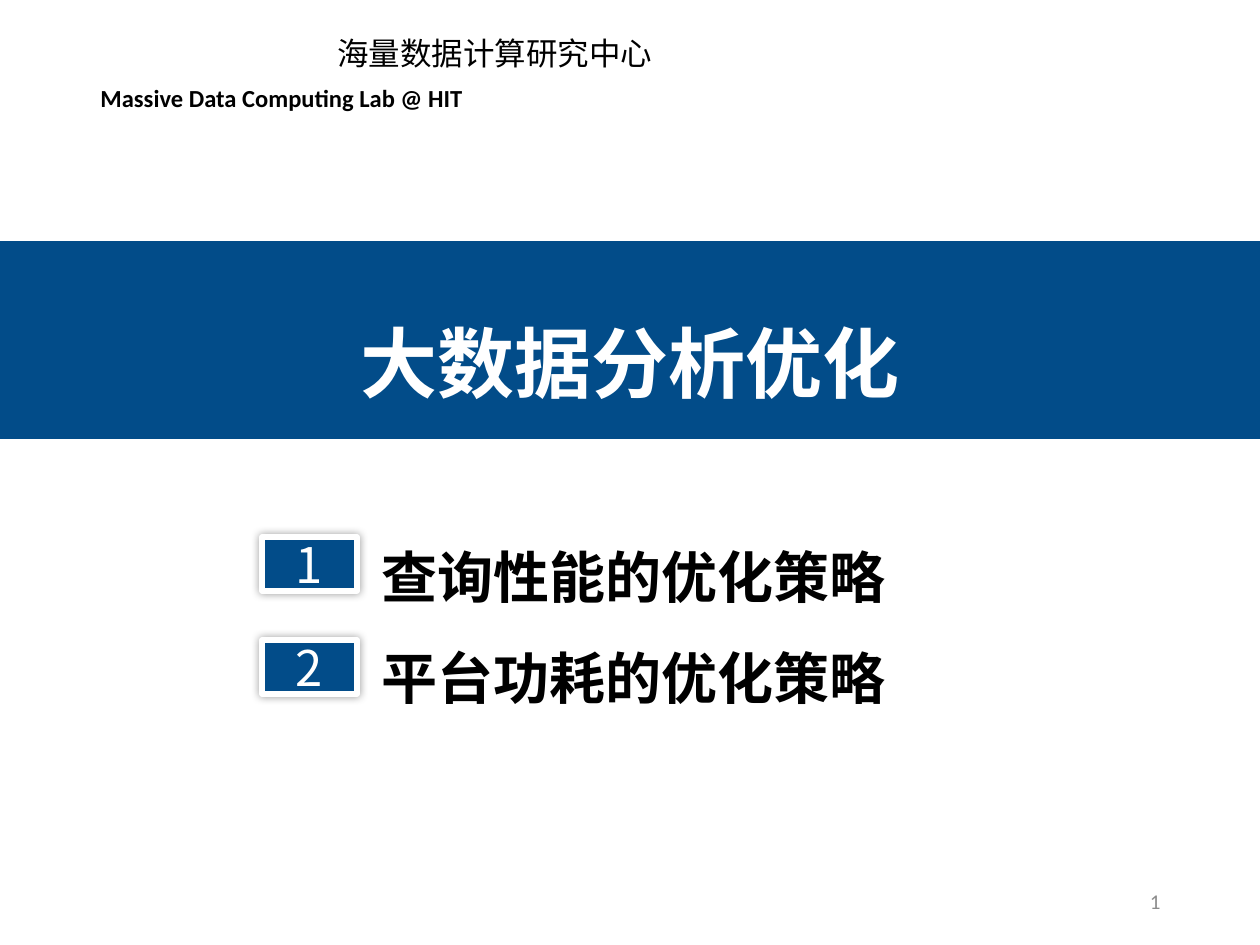
from dataclasses import dataclass

from lxml.etree import SubElement
from pptx import Presentation
from pptx.dml.color import RGBColor
from pptx.enum.shapes import MSO_SHAPE as Shape
from pptx.enum.text import MSO_ANCHOR as Anchor, MSO_AUTO_SIZE as AutoSize, PP_ALIGN as Align
from pptx.oxml.ns import qn
from pptx.util import Pt

PX = 914400 / 126  # EMU in one px


@dataclass(frozen=True)
class Theme:
    blue: str = "024C89"
    white: str = "FFFFFF"
    black: str = "000000"
    gray: str = "8C8C8C"
    latin: str = "Calibri"
    heading: str = "Noto Sans CJK TC"
    label: str = "Noto Sans CJK JP"
    title_size: int = 44
    topic_size: int = 32
    badge_size: int = 28
    center_size: int = 18
    lab_size: int = 14
    number_size: int = 12


THEME = Theme()


def emu(*lengths):
    return [round(length * PX) for length in lengths]


def style(para, face, size, color, bold=False, align=Align.LEFT, spacing=1.0):
    para.alignment = align
    para.line_spacing = spacing
    font = para.font
    font.size, font.bold, font.name = Pt(size), bold, face
    font.color.rgb = RGBColor.from_string(color)
    # East Asian characters take their own typeface entry
    latin = font._element.find(qn("a:latin"))
    east_asian = latin.makeelement(qn("a:ea"), {"typeface": face})
    latin.addnext(east_asian)


def write(frame, lines, *look, anchor=Anchor.TOP, **options):
    frame.word_wrap = True
    frame.auto_size = AutoSize.NONE
    frame.vertical_anchor = anchor
    for index, line in enumerate(lines):
        para = frame.add_paragraph() if index else frame.paragraphs[0]
        para.text = line
        style(para, *look, **options)


def add_text(page, place, lines, *look, **options):
    box = page.shapes.add_textbox(*emu(*place))
    write(box.text_frame, lines, *look, **options)
    return box


def add_block(page, place, line_color, line_width):
    block = page.shapes.add_shape(Shape.RECTANGLE, *emu(*place))
    block.shadow.inherit = False
    block.fill.solid()
    block.fill.fore_color.rgb = RGBColor.from_string(THEME.blue)
    block.line.color.rgb = RGBColor.from_string(line_color)
    block.line.width = Pt(line_width)
    return block


def add_badge(page, place, number):
    badge = add_block(page, place, THEME.white, 3)
    effects = badge._element.spPr.find(qn("a:effectLst"))
    shadow = SubElement(effects, qn("a:outerShdw"), blurRad=str(Pt(5)),
                        dist="0", dir="0", algn="ctr", rotWithShape="0")
    color = SubElement(shadow, qn("a:srgbClr"), val=THEME.black)
    SubElement(color, qn("a:alpha"), val="40000")
    write(badge.text_frame, [str(number)], THEME.heading, THEME.badge_size,
          THEME.white, align=Align.CENTER, anchor=Anchor.MIDDLE)


def add_title(page, place, text):
    title = page.shapes.title
    title.left, title.top, title.width, title.height = emu(*place)
    write(title.text_frame, [text], THEME.heading, THEME.title_size,
          THEME.white, bold=True, align=Align.CENTER, spacing=1.4)
    return title


def add_slide_number(page, place):
    box = add_text(page, place, [""], THEME.latin, THEME.number_size,
                   THEME.gray, align=Align.RIGHT, anchor=Anchor.MIDDLE)
    field = SubElement(box.text_frame.paragraphs[0]._p, qn("a:fld"),
                       id="{B6F15528-21DE-4FAA-801E-634DDDAF4B2B}", type="slidenum")
    SubElement(field, qn("a:rPr"), lang="en-US")
    SubElement(field, qn("a:t")).text = "1"


def main():
    deck = Presentation()
    deck.slide_width, deck.slide_height = emu(1260, 945)
    page = deck.slides.add_slide(deck.slide_layouts[5])

    # Lab name
    add_text(page, (325, 28, 377, 50), ["海量数据计算研究中心"],
             THEME.label, THEME.center_size, THEME.black)
    add_text(page, (88, 77, 498, 43), ["Massive Data Computing Lab @ HIT"],
             THEME.latin, THEME.lab_size, THEME.black, bold=True)

    # Title on its band
    band = add_block(page, (0, 242, 1260, 196), THEME.blue, 1)
    title = add_title(page, (0, 272, 1260, 129), "大数据分析优化")
    title._element.addprevious(band._element)

    # Numbered topics
    topics = ["查询性能的优化策略", "平台功耗的优化策略"]
    add_text(page, (369, 503, 703, 306), topics, THEME.heading,
             THEME.topic_size, THEME.black, bold=True, spacing=1.5)
    for index in range(len(topics)):
        add_badge(page, (262, 537 + 103 * index, 95, 54), index + 1)

    add_slide_number(page, (890, 876, 283, 50))
    deck.save("out.pptx")


if __name__ == "__main__":
    main()
